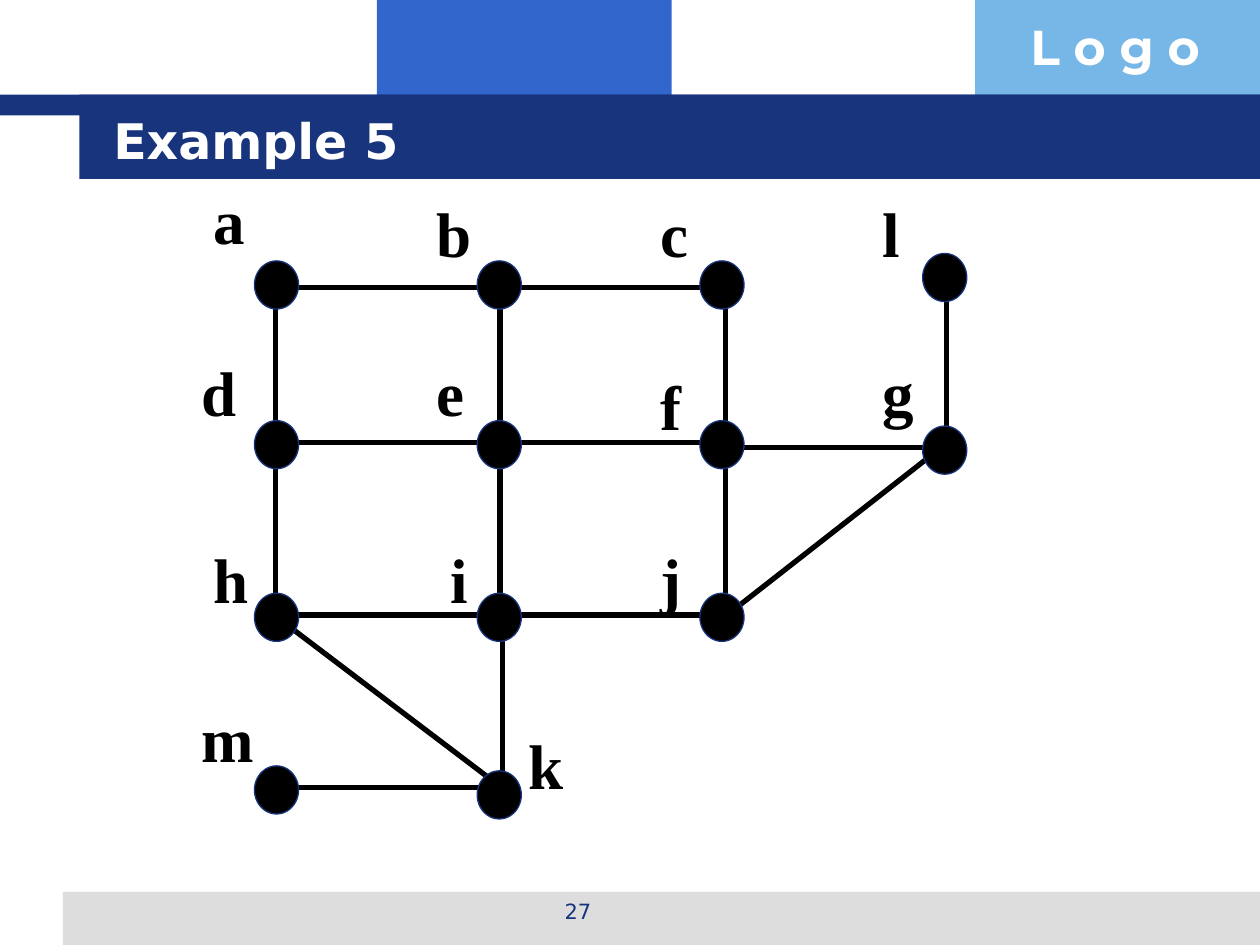
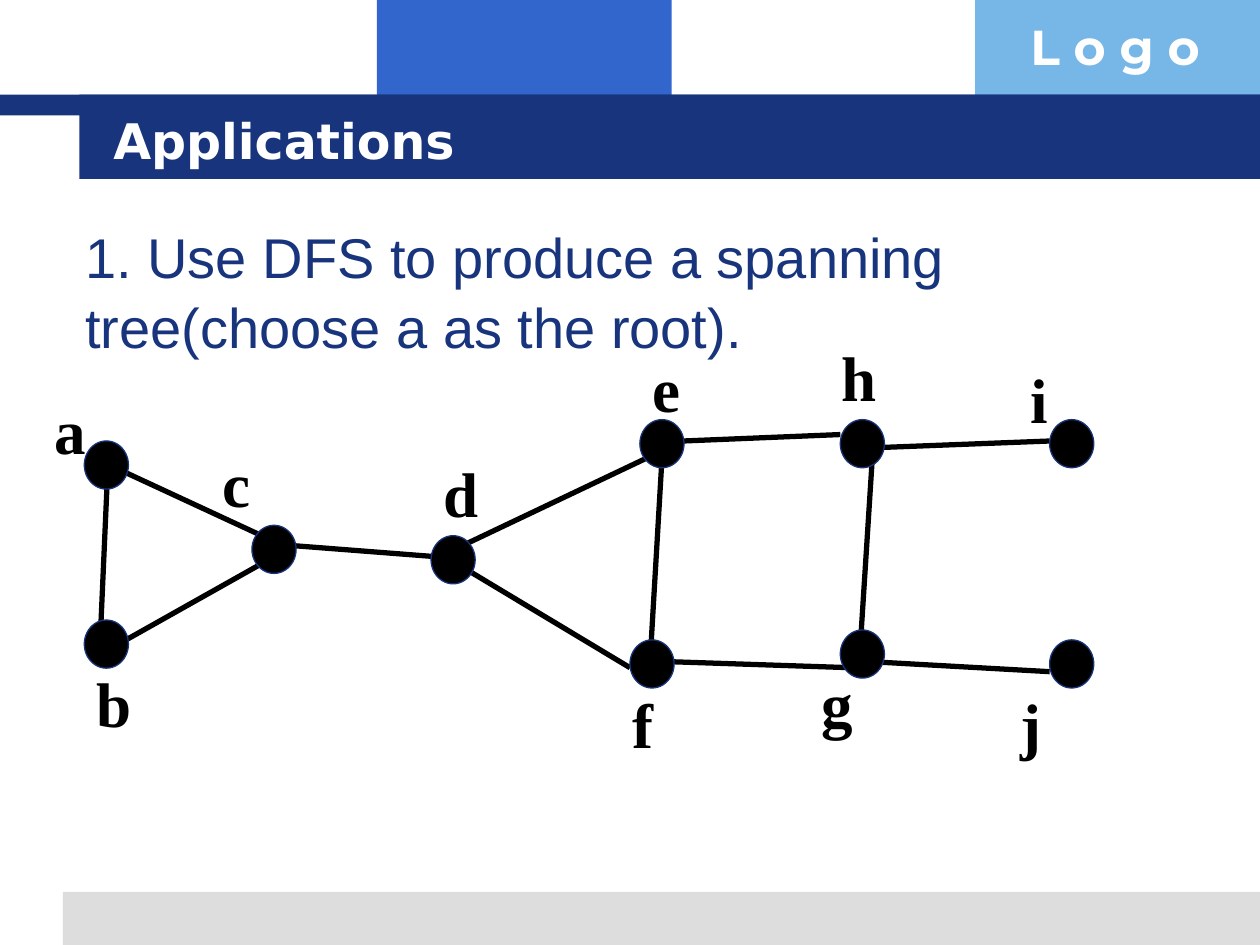
from lxml import etree
from pptx import Presentation
from pptx.dml.color import RGBColor
from pptx.enum import shapes, text
from pptx.oxml import ns
from pptx.util import Cm, Pt

NAVY = RGBColor(0x17, 0x34, 0x7D)
BLUE = RGBColor(0x33, 0x66, 0xCC)
SKY = RGBColor(0x77, 0xB7, 0xE7)
GREY = RGBColor(0xDD, 0xDD, 0xDD)
WHITE = RGBColor(0xFF, 0xFF, 0xFF)
BLACK = RGBColor(0, 0, 0)

TITLE_FONT = "DejaVu Sans"
NODE_SIZE = (0.89, 0.97)
LABEL_SIZE = (1.57, 2.13)

# Bands shared by the slides: left, top, width, height, colour
BANDS = [
    (7.6, 0, 5.94, 2.34, BLUE),
    (19.66, 0, 5.74, 2.34, SKY),
    (1.27, 17.98, 24.13, 1.07, GREY),
    (0, 1.91, 25.4, 0.42, NAVY),
    (1.6, 1.91, 23.8, 1.7, NAVY),
]

# Grid of the first graph: corners of the nodes
COLUMNS = [5.13 + 4.49 * column for column in range(4)]
ROWS = [5.26, 8.48, 11.96, 15.44]
EDGE_WIDTH, EDGE_HEIGHT = 4.22, 3.48

GRID_NODES = [(x, y) for y in ROWS[:3] for x in COLUMNS[:3]] + [
    (COLUMNS[3], 5.11), (COLUMNS[3], 8.59),
    (COLUMNS[0], ROWS[3]), (COLUMNS[1], 15.54),
]
GRID_LABELS = {
    "a": (4.06, 3.38), "b": (8.56, 3.66), "c": (13.06, 3.66), "l": (17.55, 3.66),
    "d": (3.81, 6.86), "e": (8.56, 6.86), "f": (13.06, 7.14), "g": (17.55, 6.86),
    "h": (4.06, 10.62), "i": (8.84, 10.62), "j": (13.06, 10.62),
    "m": (3.81, 13.84), "k": (10.41, 14.38),
}
# Starts of the edges that run across and down the grid
ACROSS = [(x, y) for y in (5.79, 8.92, 12.4) for x in (5.66, 10.13)] + [
    (14.63, 9.02), (5.66, 15.88),
]
DOWN = [(x, y + step) for x, y in ((5.56, 5.54), (10.08, 5.69), (14.63, 5.79))
        for step in (0, EDGE_HEIGHT)] + [(10.13, 12.5)]
GRID_EDGES = (
    [(x, y, x + EDGE_WIDTH, y) for x, y in ACROSS]
    + [(x, y, x, y + EDGE_HEIGHT) for x, y in DOWN]
    + [(19.08, 5.38, 19.08, 9.12), (5.66, 12.5, 9.88, 15.7),
       (18.85, 9.12, 14.73, 12.34)]
)

# Second graph
CHAIN_NODES = [
    (1.7, 8.89), (1.7, 12.5), (5.08, 10.59), (8.69, 10.8), (12.9, 8.46),
    (12.7, 12.9), (16.94, 12.7), (16.94, 8.46), (21.16, 8.46), (21.16, 12.9),
]
CHAIN_LABELS = {
    "a": (0.84, 7.62), "b": (1.7, 13.13), "c": (4.24, 8.69), "d": (8.69, 8.89),
    "e": (12.9, 6.78), "f": (12.5, 13.54), "g": (16.31, 13.13),
    "h": (16.71, 6.55), "i": (20.52, 6.99), "j": (20.32, 13.54),
}
CHAIN_EDGES = [
    (2.54, 9.53, 5.28, 10.8), (2.16, 9.73, 2.03, 12.7), (5.51, 11.23, 2.54, 12.9),
    (8.89, 11.23, 5.92, 11), (13.34, 9.09, 9.32, 11), (12.7, 13.46, 9.32, 11.43),
    (16.94, 8.76, 13.77, 8.89), (13.34, 9.32, 13.13, 12.9),
    (17.15, 13.46, 13.54, 13.34), (21.16, 8.89, 17.78, 9.02),
    (17.58, 9.32, 17.35, 12.9), (21.16, 13.54, 17.58, 13.34),
]


def add_filled(slide, kind, box, fill):
    shape = slide.shapes.add_shape(kind, *map(Cm, box))
    shape.shadow.inherit = False
    shape.fill.solid()
    shape.fill.fore_color.rgb = fill
    shape.line.fill.background()
    return shape


def format_text(shape, words, size, font, colour, bold=False):
    frame = shape.text_frame
    frame.text = words
    frame.word_wrap = True
    for run in frame.paragraphs[0].runs:
        run.font.size = Pt(size)
        run.font.name = font
        run.font.bold = bold
        run.font.color.rgb = colour
    return frame


def add_text(slide, box, words, size, font, colour, bold=False):
    shape = slide.shapes.add_textbox(*map(Cm, box))
    return format_text(shape, words, size, font, colour, bold)


def add_node(slide, position):
    node = add_filled(slide, shapes.MSO_SHAPE.OVAL, position + NODE_SIZE, BLACK)
    node.line.color.rgb = NAVY
    node.line.width = Pt(0.75)


def add_edge(slide, ends):
    edge = slide.shapes.add_connector(shapes.MSO_CONNECTOR.STRAIGHT, *map(Cm, ends))
    edge.line.color.rgb = BLACK
    edge.line.width = Pt(3)
    etree.SubElement(edge._element.spPr, ns.qn("a:effectLst"))


def add_graph(slide, nodes, edges, labels):
    for ends in edges:
        add_edge(slide, ends)
    for position in nodes:
        add_node(slide, position)
    for name, position in labels.items():
        frame = add_text(slide, position + LABEL_SIZE, name, 36,
                         "Times New Roman", BLACK, bold=True)
        frame.margin_top = Cm(0.27)


def add_titled_slide(presentation, words):
    slide = presentation.slides.add_slide(presentation.slide_layouts[5])
    for *box, colour in BANDS:
        add_filled(slide, shapes.MSO_SHAPE.RECTANGLE, box, colour)
    add_text(slide, (20.52, 0.2, 4.88, 1.45), "L o g o", 28, "Montserrat", WHITE, bold=True)

    # The title lies on top of its band
    title = slide.shapes.title
    slide.shapes._spTree.append(title._element)
    title.left, title.top, title.width, title.height = map(Cm, (2.03, 2.03, 21.67, 1.57))
    frame = format_text(title, words, 28, TITLE_FONT, WHITE, bold=True)
    frame.vertical_anchor = text.MSO_ANCHOR.MIDDLE
    frame.paragraphs[0].alignment = text.PP_ALIGN.LEFT
    return slide


def main():
    presentation = Presentation()
    presentation.slide_width, presentation.slide_height = Cm(25.4), Cm(19.05)

    # Grid graph
    slide = add_titled_slide(presentation, "Example 5")
    add_graph(slide, GRID_NODES, GRID_EDGES, GRID_LABELS)
    number = add_text(slide, (8.69, 17.98, 5.92, 0.89), "27", 12, TITLE_FONT, NAVY)
    number.paragraphs[0].alignment = text.PP_ALIGN.CENTER

    # Spanning tree task
    slide = add_titled_slide(presentation, "Applications")
    task = add_text(slide, (1.47, 4.24, 22.23, 2.97),
                    "1. Use DFS to produce a spanning tree(choose a as the root).",
                    32, "Arial", NAVY)
    task.margin_top = Cm(0.2)
    task.paragraphs[0].line_spacing = 1.04
    add_graph(slide, CHAIN_NODES, CHAIN_EDGES, CHAIN_LABELS)

    presentation.save("out.pptx")


if __name__ == "__main__":
    main()
